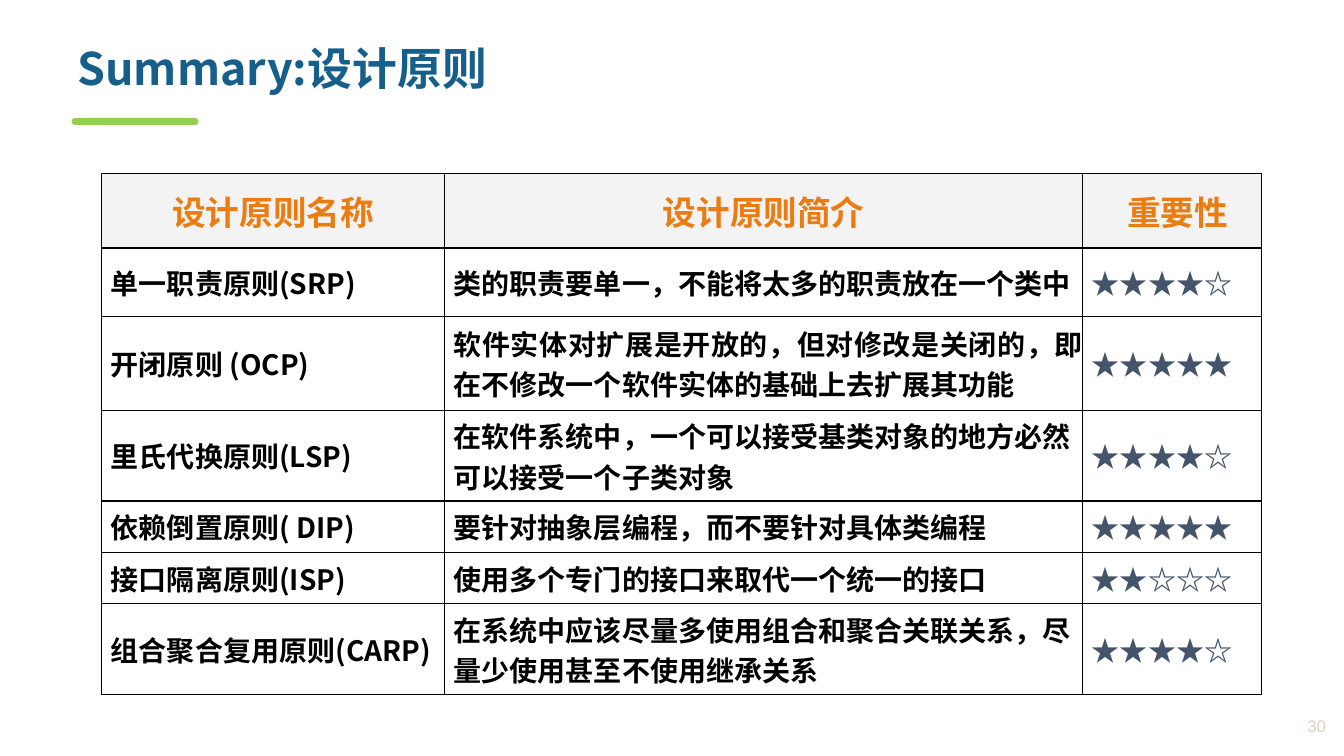
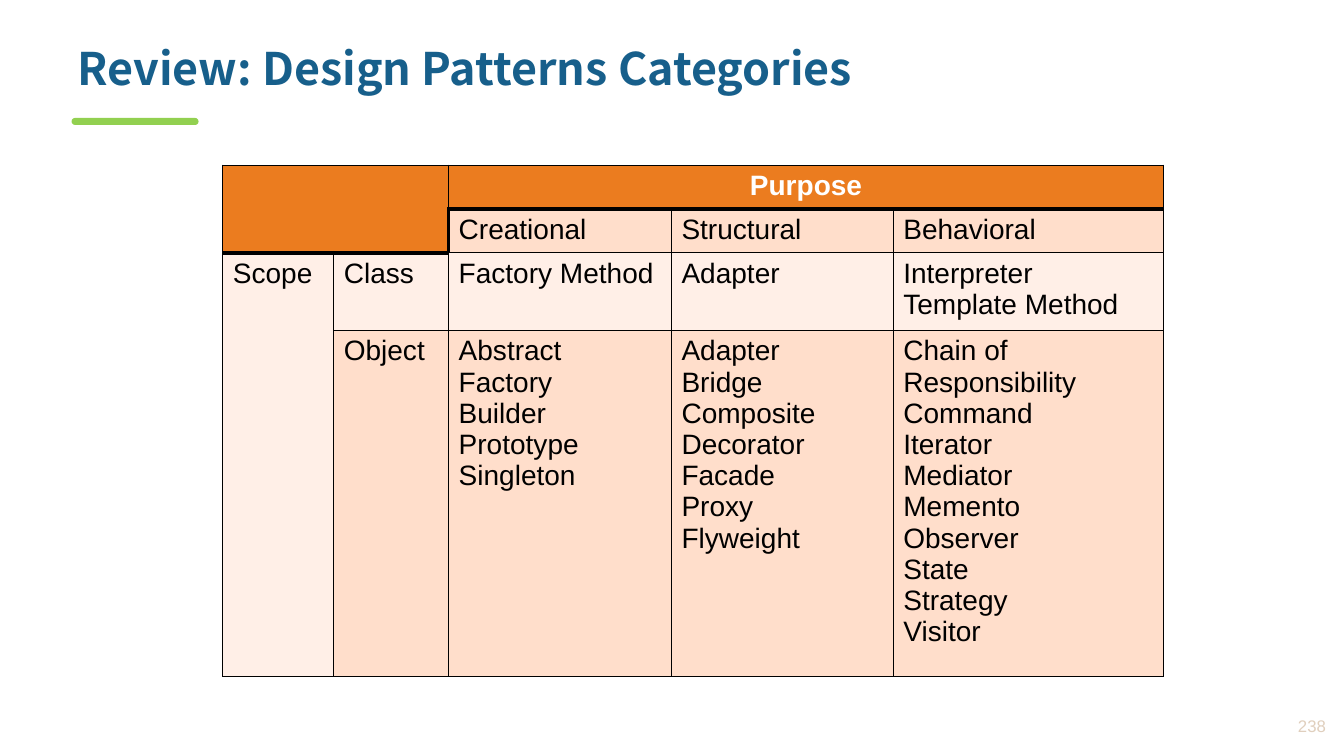
from dataclasses import dataclass

from lxml.etree import SubElement
from pptx import Presentation
from pptx.dml.color import RGBColor
from pptx.enum.shapes import MSO_SHAPE
from pptx.enum.text import MSO_ANCHOR, PP_ALIGN
from pptx.oxml import parse_xml
from pptx.oxml.ns import nsdecls, qn
from pptx.util import Emu, Pt

PX_PER_INCH = 100


@dataclass(frozen=True)
class Theme:
    title: str = "175F8B"
    accent: str = "92D050"
    page: str = "E0CFBD"
    ink: str = "000000"
    white: str = "FFFFFF"
    stars: str = "44546A"
    heading: str = "EB7C11"
    heading_fill: str = "F3F3F3"
    header_fill: str = "EB7C1F"
    bands: tuple = ("FFEFE7", "FFDECB")
    cjk: str = "Noto Sans CJK SC"
    latin: str = "Arial"
    title_size: int = 32
    heading_size: int = 24
    body_size: int = 20
    page_size: int = 12


THEME = Theme()

PRINCIPLE_COLS = [340, 633, 177]
PRINCIPLE_ROWS = [74, 68, 93, 90, 51, 51, 90]
PRINCIPLE_HEADINGS = ("设计原则名称", "设计原则简介", "重要性")
PRINCIPLES = [
    ("单一职责原则(SRP)", "类的职责要单一，不能将太多的职责放在一个类中", 4),
    ("开闭原则 (OCP)",
     "软件实体对扩展是开放的，但对修改是关闭的，即在不修改一个软件实体的基础上去扩展其功能", 5),
    ("里氏代换原则(LSP)",
     "在软件系统中，一个可以接受基类对象的地方必然可以接受一个子类对象", 4),
    ("依赖倒置原则( DIP)", "要针对抽象层编程，而不要针对具体类编程", 5),
    ("接口隔离原则(ISP)", "使用多个专门的接口来取代一个统一的接口", 2),
    ("组合聚合复用原则(CARP)",
     "在系统中应该尽量多使用组合和聚合关联关系，尽量少使用甚至不使用继承关系", 4),
]

PATTERN_COLS = [110, 114, 221, 220, 268]
PATTERN_ROWS = [43, 43, 77, 343]
PATTERN_MERGES = [((0, 0), (1, 1)), ((0, 2), (0, 4)), ((2, 0), (3, 0))]
PATTERNS = [
    ["", "", "Purpose", "", ""],
    ["", "", "Creational", "Structural", "Behavioral"],
    ["Scope", "Class", "Factory Method", "Adapter",
     "Interpreter\nTemplate Method"],
    ["", "Object",
     "Abstract Factory\nBuilder\nPrototype\nSingleton",
     "Adapter\nBridge\nComposite\nDecorator\nFacade\nProxy\nFlyweight",
     "Chain of Responsibility\nCommand\nIterator\nMediator\nMemento\n"
     "Observer\nState\nStrategy\nVisitor"],
]


def px(n):
    return Emu(n * 914400 // PX_PER_INCH)


def rgb(color):
    return RGBColor.from_string(color)


def write(tf, text, font, size, color, bold=False, align=PP_ALIGN.LEFT, indent=0):
    """Fill a text frame, one paragraph per line of text."""
    tf.text = text
    for p in tf.paragraphs:
        p.alignment = align
        p.font.name = font
        p.font.size = Pt(size)
        p.font.bold = bold
        p.font.color.rgb = rgb(color)
        pPr = p._p.get_or_add_pPr()
        if indent:
            pPr.set("marL", str(px(indent)))
            pPr.set("indent", "0")
        SubElement(pPr.find(qn("a:defRPr")), qn("a:ea"), typeface=font)


def add_text(slide, box, text, font, size, color, anchor=MSO_ANCHOR.TOP, **style):
    tf = slide.shapes.add_textbox(*map(px, box)).text_frame
    tf.word_wrap = True
    tf.vertical_anchor = anchor
    write(tf, text, font, size, color, **style)
    return tf


def add_slide(prs, title, page):
    """Add a slide with the shared title, accent bar and page number."""
    slide = prs.slides.add_slide(prs.slide_layouts[6])
    bar = slide.shapes.add_shape(MSO_SHAPE.ROUND_2_SAME_RECTANGLE,
                                 *map(px, (71, 117, 126, 7)))
    bar.adjustments[0] = bar.adjustments[1] = 0.5
    bar.shadow.inherit = False
    bar.fill.solid()
    bar.fill.fore_color.rgb = rgb(THEME.accent)
    bar.line.fill.background()
    tf = add_text(slide, (67, 41, 1219, 75), title, THEME.cjk,
                  THEME.title_size, THEME.title, bold=True)
    tf.paragraphs[0].line_spacing = 0.9
    add_text(slide, (1212, 701, 113, 38), page, THEME.latin, THEME.page_size,
             THEME.page, anchor=MSO_ANCHOR.MIDDLE, align=PP_ALIGN.RIGHT)
    return slide


def add_table(slide, left, top, cols, rows):
    frame = slide.shapes.add_table(len(rows), len(cols), px(left), px(top),
                                   px(sum(cols)), px(sum(rows)))
    table = frame.table
    for col, width in zip(table.columns, cols):
        col.width = px(width)
    for row, height in zip(table.rows, rows):
        row.height = px(height)
    return table


def style_cell(cell, fill=None, heavy=""):
    """Set the fill and borders; sides named in heavy (of LRTB) are thick."""
    if fill:
        cell.fill.solid()
        cell.fill.fore_color.rgb = rgb(fill)
    else:
        cell.fill.background()
    tcPr = cell._tc.get_or_add_tcPr()
    for i, side in enumerate("LRTB"):
        width = Pt(3 if side in heavy else 1)
        tcPr.insert(i, parse_xml(
            f'<a:ln{side} {nsdecls("a")} w="{width}"><a:solidFill>'
            f'<a:srgbClr val="{THEME.ink}"/></a:solidFill></a:ln{side}>'))


def fill_principle(cell, text, size, color, fill=None, **style):
    style_cell(cell, fill)
    cell.margin_left = cell.margin_right = cell.margin_top = cell.margin_bottom = 0
    cell.vertical_anchor = MSO_ANCHOR.MIDDLE
    write(cell.text_frame, text, THEME.cjk, size, color, bold=True, **style)


def principles_slide(prs):
    slide = add_slide(prs, "Summary:设计原则", "30")
    table = add_table(slide, 101, 172, PRINCIPLE_COLS, PRINCIPLE_ROWS)
    heading_styles = [{"align": PP_ALIGN.CENTER}] * 2 + [{"indent": 44}]
    for c, (text, style) in enumerate(zip(PRINCIPLE_HEADINGS, heading_styles)):
        fill_principle(table.cell(0, c), text, THEME.heading_size, THEME.heading,
                       THEME.heading_fill, **style)
    for r, (name, summary, score) in enumerate(PRINCIPLES, 1):
        rating = "★" * score + "☆" * (5 - score)
        colors = (THEME.ink, THEME.ink, THEME.stars)
        for c, (text, color) in enumerate(zip((name, summary, rating), colors)):
            fill_principle(table.cell(r, c), text, THEME.body_size, color, indent=9)
    table.cell(2, 1).text_frame.paragraphs[0].alignment = PP_ALIGN.JUSTIFY


def is_header(r, c):
    return r == 0 or (r == 1 and c < 2)


def header_edges(r, c):
    """Name the sides where the header meets the body."""
    neighbours = {"L": (r, c - 1), "R": (r, c + 1), "T": (r - 1, c), "B": (r + 1, c)}
    return "".join(
        side for side, (nr, nc) in neighbours.items()
        if 0 <= nr < len(PATTERN_ROWS) and 0 <= nc < len(PATTERN_COLS)
        and is_header(nr, nc) != is_header(r, c))


def patterns_slide(prs):
    slide = add_slide(prs, "Review: Design Patterns Categories", "238")
    table = add_table(slide, 221, 164, PATTERN_COLS, PATTERN_ROWS)
    for first, last in PATTERN_MERGES:
        table.cell(*first).merge(table.cell(*last))
    for r, row in enumerate(PATTERNS):
        for c, text in enumerate(row):
            cell, header = table.cell(r, c), is_header(r, c)
            style_cell(cell, THEME.header_fill if header else THEME.bands[r % 2],
                       header_edges(r, c))
            if text:
                write(cell.text_frame, text, THEME.latin, THEME.body_size,
                      THEME.white if header else THEME.ink, bold=header,
                      align=PP_ALIGN.CENTER if header else PP_ALIGN.LEFT)


def main():
    prs = Presentation()
    prs.slide_width, prs.slide_height = px(1333), px(750)
    principles_slide(prs)
    patterns_slide(prs)
    prs.save("out.pptx")


if __name__ == "__main__":
    main()
